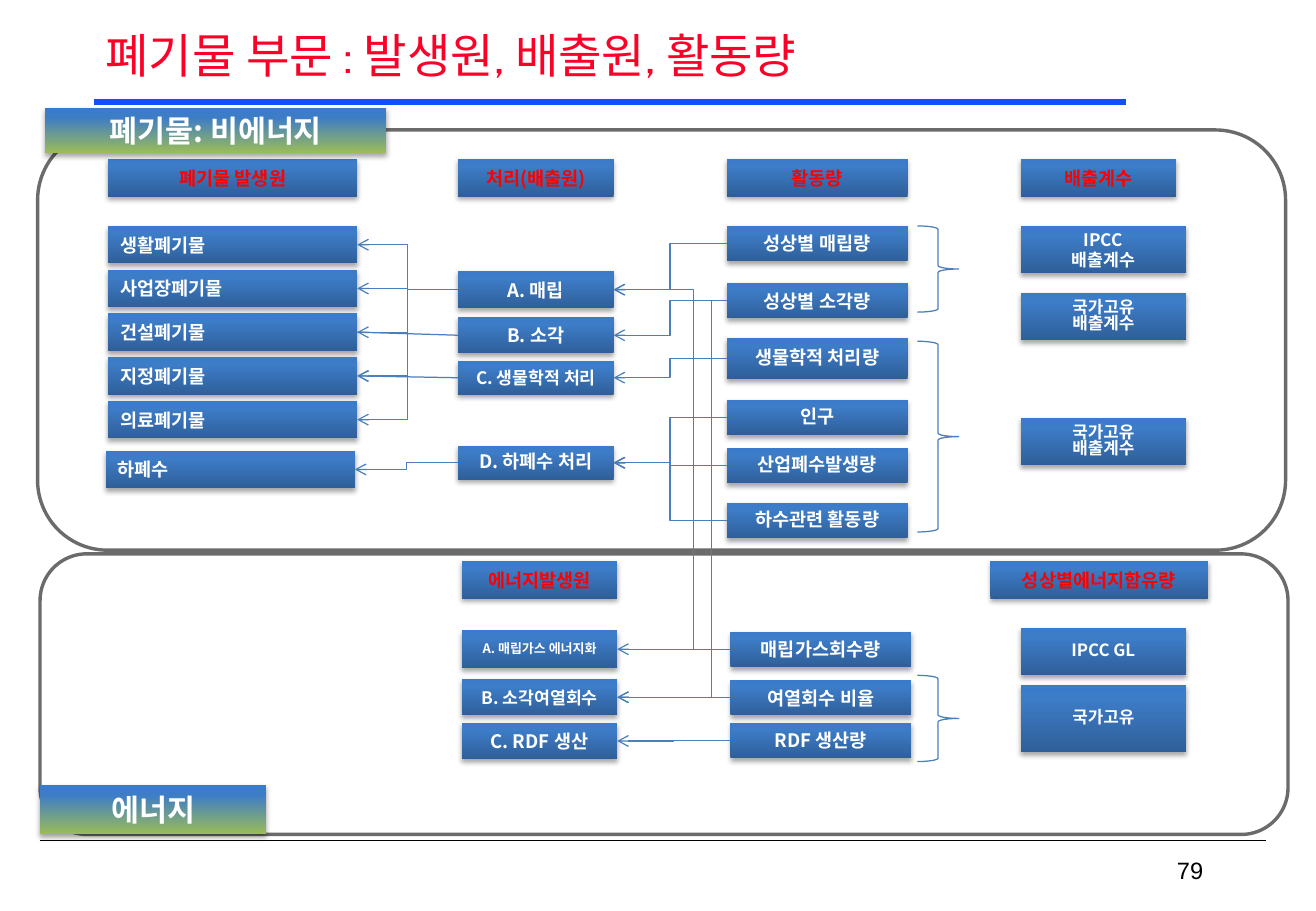
from copy import deepcopy
from typing import NamedTuple

from lxml.etree import SubElement
from pptx import Presentation
from pptx.dml.color import RGBColor
from pptx.enum.shapes import MSO_CONNECTOR, MSO_SHAPE
from pptx.enum.text import MSO_ANCHOR, PP_ALIGN
from pptx.oxml.ns import qn
from pptx.util import Inches, Pt

COLORS = {
    "title": "FC0128", "title_rule": "114FFB", "ink": "000000",
    "label": "FFFFFF", "heading": "FF0000", "link": "4B7EBC", "frame": "6B6B6B",
    "tile_base": "2F5F99", "tag_base": "9BBB59", "tile_mid": "3D7CC7", "tile_top": "3A7CCB",
}
KOREAN = "Noto Sans CJK KR"
SLIDE_WIDTH, SLIDE_HEIGHT = Inches(10.83), Inches(7.5)
GRID_COLUMNS, GRID_ROWS = 1083, 750
COLUMN, ROW = SLIDE_WIDTH / GRID_COLUMNS, SLIDE_HEIGHT / GRID_ROWS


class Box(NamedTuple):
    """An area in grid columns and rows."""
    left: float
    top: float
    width: float
    height: float

    def inside(self, left, top, width, height):
        """Return a box offset from this one's corner."""
        return Box(self.left + left, self.top + top, width, height)

    def emu(self):
        """Return the area in slide lengths."""
        return (round(self.left * COLUMN), round(self.top * ROW),
                round(self.width * COLUMN), round(self.height * ROW))


class Entry(NamedTuple):
    """A labelled tile within a column."""
    label: str
    top: float
    height: float
    size: float = 11
    spacing: float = 1.0


def rgb(name):
    """Look up a palette colour."""
    return RGBColor.from_string(COLORS[name])


def write(shape, text, size, color, align, spacing=1.0, font=KOREAN, bold=False):
    """Fill a shape with uniformly formatted text."""
    frame = shape.text_frame
    frame.text = text
    frame.word_wrap = True
    frame.vertical_anchor = MSO_ANCHOR.MIDDLE
    for paragraph in frame.paragraphs:
        paragraph.alignment = align
        paragraph.line_spacing = spacing
        for run in paragraph.runs:
            run.font.size, run.font.bold, run.font.name = Pt(size), bold, font
            run.font.color.rgb = rgb(color)
            SubElement(run.font._element, qn("a:ea"), typeface=KOREAN)


def add_tile(slide, box, text, size=11, spacing=1.0, color="label",
             align=PP_ALIGN.CENTER, base="tile_base"):
    """Add a shaded label with a soft shadow below."""
    tile = slide.shapes.add_shape(MSO_SHAPE.RECTANGLE, *box.emu())
    tile.line.fill.background()
    tile.fill.gradient()
    tile.fill.gradient_angle = 90
    properties = tile._element.spPr
    stops = properties.find(".//" + qn("a:gsLst"))
    stops.append(deepcopy(stops[-1]))
    shades = ((0, base), (0.8, "tile_mid"), (1, "tile_top"))
    for stop, (position, shade) in zip(tile.fill.gradient_stops, shades):
        stop.position, stop.color.rgb = position, rgb(shade)
    tile.shadow.inherit = False
    shadow = SubElement(properties.find(qn("a:effectLst")), qn("a:outerShdw"),
                        blurRad=str(Pt(3.1)), dist=str(Pt(1.8)), dir="5400000", rotWithShape="0")
    SubElement(SubElement(shadow, qn("a:srgbClr"), val=COLORS["ink"]), qn("a:alpha"), val="35000")
    write(tile, text, size, color, align, spacing, bold=True)
    return tile


def add_stack(slide, panel, left, width, entries, **style):
    """Add one column of tiles and return them."""
    return [add_tile(slide, panel.inside(left, entry.top, width, entry.height),
                     entry.label, entry.size, entry.spacing, **style) for entry in entries]


def add_outline(slide, kind, box, color, weight):
    """Add an unfilled preset shape."""
    outline = slide.shapes.add_shape(kind, *box.emu())
    outline.fill.background()
    outline.shadow.inherit = False
    outline.line.color.rgb, outline.line.width = rgb(color), Pt(weight)


def add_line(slide, kind, ends, color, weight):
    """Add a connector without a shadow."""
    line = slide.shapes.add_connector(kind, *ends)
    line.line.color.rgb, line.line.width = rgb(color), Pt(weight)
    SubElement(line._element.spPr, qn("a:effectLst"))
    return line


def link(slide, origin, target, kind=MSO_CONNECTOR.ELBOW, bend=None, arrow=True):
    """Join the left side of one tile to the right side of another."""
    ends = (origin.left, origin.top + origin.height // 2,
            target.left + target.width, target.top + target.height // 2)
    connector = add_line(slide, kind, ends, "link", 0.75)
    connector.begin_connect(origin, 1)
    connector.end_connect(target, 3)
    if bend:
        guides = connector._element.spPr.find(".//" + qn("a:avLst"))
        SubElement(guides, qn("a:gd"), name="adj1", fmla=f"val {round(bend * 100000)}")
    if arrow:
        SubElement(connector.line._get_or_add_ln(), qn("a:tailEnd"), type="arrow")


def add_frame(slide, panel, tag, label):
    """Outline a panel and put its name tag on top."""
    add_outline(slide, MSO_SHAPE.ROUNDED_RECTANGLE, panel, "frame", 2)
    add_tile(slide, tag, label, 18, base="tag_base")


def draw_title(slide, box):
    """Write the slide title with the rule beneath it."""
    title = slide.shapes.add_textbox(*box.emu())
    write(title, "폐기물 부문 : 발생원, 배출원, 활동량", 28, "title", PP_ALIGN.JUSTIFY, 0.9, "Cabin")
    left, top, _, _ = box.emu()
    rule_top = top + round(67 * ROW)
    add_line(slide, MSO_CONNECTOR.STRAIGHT,
             (left, rule_top, left + round(850 * COLUMN), rule_top), "title_rule", 3.75)


def draw_footer(slide, box):
    """Draw the bottom rule and the page number."""
    left, top, width, _ = box.emu()
    add_line(slide, MSO_CONNECTOR.STRAIGHT, (left, top, left + width, top), "ink", 1)
    number = slide.shapes.add_textbox(*box.inside(742, 8, 225, 33).emu())
    write(number, "79", 14, "ink", PP_ALIGN.RIGHT, font="Arial")


def draw_waste(slide, panel):
    """Draw the non-energy panel and return its treatments and activities."""
    for left, width, label in ((58, 205, "폐기물 발생원"), (346, 128, "처리(배출원)"),
                               (567, 149, "활동량"), (809, 128, "배출계수")):
        add_stack(slide, panel, left, width, [Entry(label, 24, 31)], color="heading")
    solid_wastes = ("생활폐기물", "사업장폐기물", "건설폐기물", "지정폐기물", "의료폐기물")
    sources = add_stack(slide, panel, 58, 205,
                        [Entry(label, 79 + 36 * i, 31) for i, label in enumerate(solid_wastes)],
                        align=PP_ALIGN.LEFT)
    sewage, = add_stack(slide, panel, 56, 205, [Entry("하폐수", 264, 31)], align=PP_ALIGN.LEFT)
    treatments = add_stack(slide, panel, 346, 128, [
        Entry("A. 매립", 116, 31), Entry("B. 소각", 154, 30),
        Entry("C. 생물학적 처리", 190, 28, 10.2), Entry("D. 하폐수 처리", 260, 28, 11, 0.9)])
    activities = add_stack(slide, panel, 567, 149, [
        Entry("성상별 매립량", 79, 29), Entry("성상별 소각량", 126, 29),
        Entry("생물학적 처리량", 171, 34, 11, 0.9), Entry("인구", 222, 29, 11, 0.9),
        Entry("산업폐수발생량", 262, 29, 11, 0.9), Entry("하수관련 활동량", 307, 29, 11, 0.9)])
    add_stack(slide, panel, 809, 136, [
        Entry("IPCC\n배출계수", 79, 39, 10.2), Entry("국가고유\n배출계수", 134, 39, 10, 0.8),
        Entry("국가고유\n배출계수", 237, 39, 10, 0.8)])
    for top, height in ((79, 71), (174, 157)):
        add_outline(slide, MSO_SHAPE.RIGHT_BRACE, panel.inside(724, top, 34, height), "link", 0.75)
    landfill, incineration, biological, sewage_treatment = treatments
    for source in sources:
        link(slide, landfill, source)
    link(slide, sewage_treatment, sewage)
    link(slide, incineration, sources[2], MSO_CONNECTOR.STRAIGHT, arrow=False)
    link(slide, biological, sources[3], MSO_CONNECTOR.STRAIGHT)
    for activity, treatment in zip(activities, treatments[:3] + [sewage_treatment] * 3):
        link(slide, activity, treatment)
    add_frame(slide, panel, panel.inside(6, -18, 281, 37), "폐기물: 비에너지")
    return treatments, activities


def draw_energy(slide, panel):
    """Draw the energy panel and return its sources and activities."""
    for left, width, label in ((347, 128, "에너지발생원"), (782, 179, "성상별에너지함유량")):
        add_stack(slide, panel, left, width, [Entry(label, 6, 31)], color="heading")
    sources = add_stack(slide, panel, 347, 128, [
        Entry("A. 매립가스 에너지화", 63, 31, 7.7, 0.8), Entry("B. 소각여열회수", 103, 30, 10.2),
        Entry("C. RDF 생산", 139, 30)])
    activities = add_stack(slide, panel, 568, 149, [
        Entry("매립가스회수량", 64, 29), Entry("여열회수 비율", 104, 29), Entry("RDF 생산량", 139, 29)])
    add_stack(slide, panel, 807, 136, [
        Entry("IPCC GL", 61, 39, 10, 0.8), Entry("국가고유", 108, 55, 10, 0.8)])
    add_outline(slide, MSO_SHAPE.RIGHT_BRACE, panel.inside(722, 100, 34, 71), "link", 0.75)
    for activity, source in zip(activities, sources):
        link(slide, activity, source)
    add_frame(slide, panel, panel.inside(0, 190, 186, 41), "에너지")
    return sources, activities


def main():
    """Build and save the slide."""
    deck = Presentation()
    deck.slide_width, deck.slide_height = SLIDE_WIDTH, SLIDE_HEIGHT
    slide = deck.slides.add_slide(deck.slide_layouts[6])
    draw_title(slide, Box(77, 17, 929, 62))
    draw_footer(slide, Box(33, 692, 1009, 58))
    treatments, waste_activities = draw_waste(slide, Box(31, 107, 1027, 346))
    energy_sources, energy_activities = draw_energy(slide, Box(33, 456, 1027, 231))
    link(slide, energy_activities[0], treatments[0], bend=0.315)
    link(slide, waste_activities[1], energy_sources[1], bend=0.14)
    deck.save("out.pptx")


if __name__ == "__main__":
    main()
